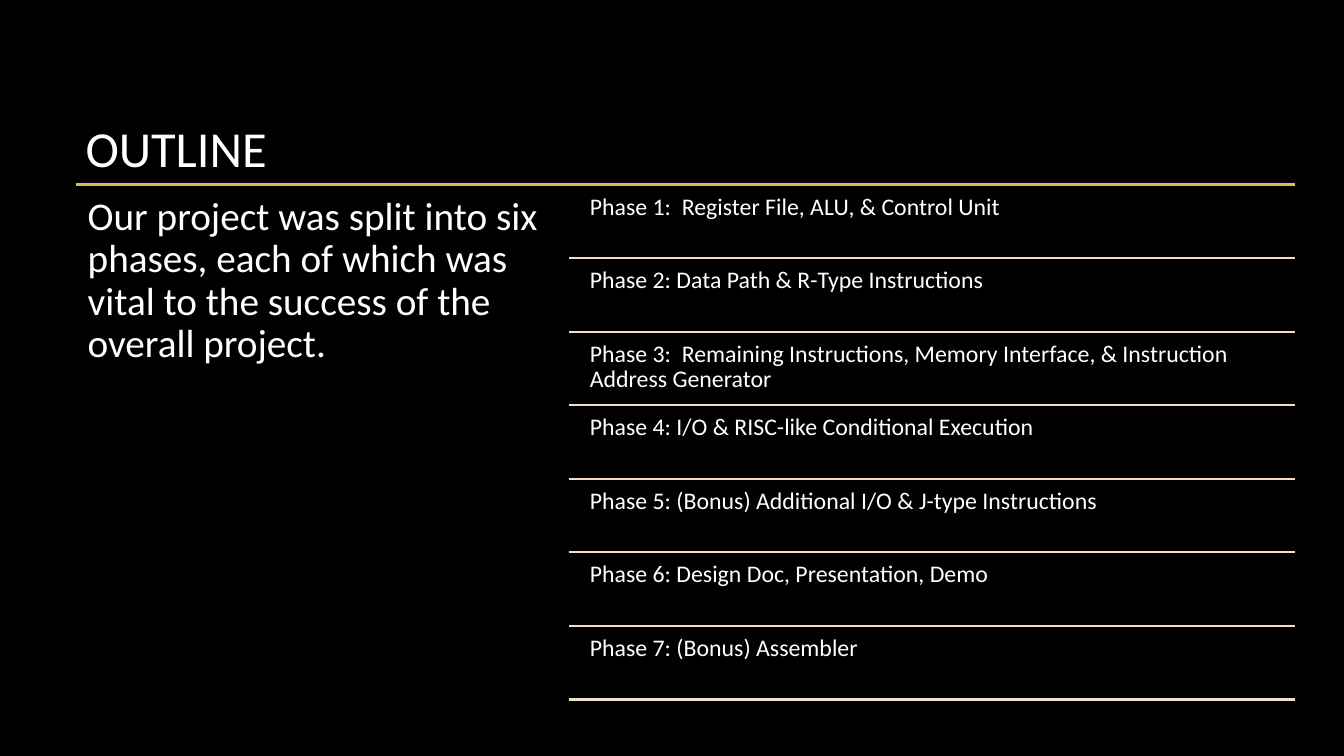
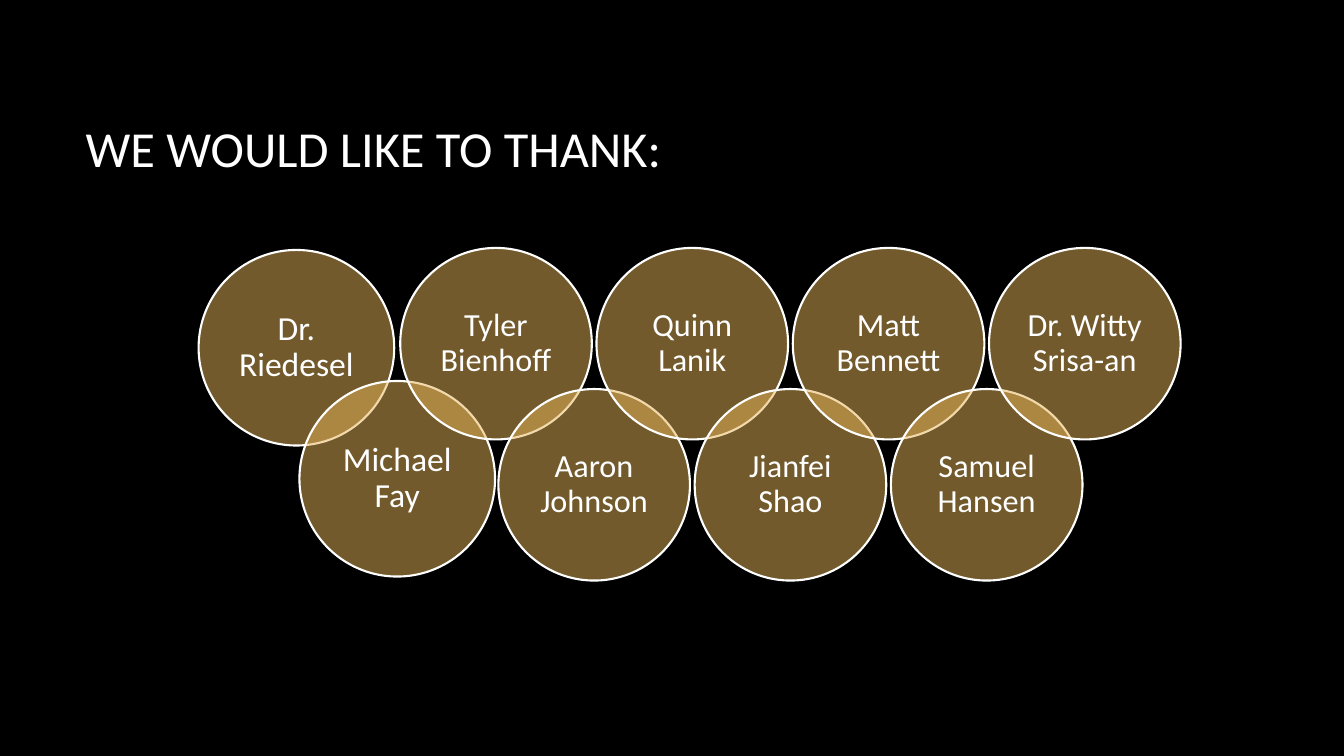
from lxml import etree
from pptx import Presentation
from pptx.dml.color import RGBColor
from pptx.enum.shapes import MSO_CONNECTOR as Connector, MSO_SHAPE as Shape
from pptx.enum.text import MSO_ANCHOR as Anchor, PP_ALIGN as Align
from pptx.oxml.ns import qn
from pptx.util import Inches, Pt

# Content
OUTLINE_TITLE = "OUTLINE"
SUMMARY = ("Our project was split into six phases, each of which was vital "
           "to the success of the overall project.")
PHASES = [
    "Phase 1:  Register File, ALU, & Control Unit",
    "Phase 2: Data Path & R-Type Instructions",
    "Phase 3:  Remaining Instructions, Memory Interface, & Instruction Address Generator",
    "Phase 4: I/O & RISC-like Conditional Execution",
    "Phase 5: (Bonus) Additional I/O & J-type Instructions",
    "Phase 6: Design Doc, Presentation, Demo",
    "Phase 7: (Bonus) Assembler",
]
THANKS_TITLE = "WE WOULD LIKE TO THANK:"
ADVISERS = ["Dr. Riedesel", "Michael Fay"]
HELPERS = ["Tyler Bienhoff", "Aaron Johnson", "Quinn Lanik", "Jianfei Shao",
           "Matt Bennett", "Samuel Hansen", "Dr. Witty Srisa-an"]

# Shared style
FONT = "Calibri"
BLACK, WHITE, GOLD, CREAM = "000000", "FFFFFF", "E5B458", "F2DEC4"
LINE_WIDTH = Pt(1.5)
LEFT, RIGHT = 0.75, 12.84


def color(value):
    return RGBColor.from_string(value)


def write(shape, text, size, inset=0.1, anchor=Anchor.TOP, align=Align.LEFT, spacing=0.9):
    frame = shape.text_frame
    frame.word_wrap = True
    frame.vertical_anchor = anchor
    frame.margin_left = frame.margin_right = Inches(inset)
    frame.margin_top = frame.margin_bottom = Inches(inset)
    para = frame.paragraphs[0]
    para.alignment = align
    para.line_spacing = spacing
    span = para.add_run()
    span.text = text
    span.font.name = FONT
    span.font.size = Pt(size)
    span.font.color.rgb = color(WHITE)


def add_text(page, text, left, top, width, height, size, **style):
    box = page.shapes.add_textbox(Inches(left), Inches(top), Inches(width), Inches(height))
    write(box, text, size, **style)


def add_rule(page, left, y, line_color):
    rule = page.shapes.add_connector(
        Connector.STRAIGHT, Inches(left), Inches(y), Inches(RIGHT), Inches(y))
    rule.line.color.rgb = color(line_color)
    rule.line.width = LINE_WIDTH
    etree.SubElement(rule._element.spPr, qn("a:effectLst"))


def add_circle(page, name, left, top, diameter, size):
    circle = page.shapes.add_shape(
        Shape.OVAL, Inches(left), Inches(top), Inches(diameter), Inches(diameter))
    circle.shadow.inherit = False
    circle.fill.solid()
    circle.fill.fore_color.rgb = color(GOLD)
    solid = circle._element.spPr.find(qn("a:solidFill"))
    etree.SubElement(solid[0], qn("a:alpha"), val="50000")
    circle.line.color.rgb = color(WHITE)
    circle.line.width = LINE_WIDTH
    write(circle, name, size, anchor=Anchor.MIDDLE, align=Align.CENTER)


def add_circle_chain(page, names, first_left, last_left, tops, diameter, size):
    """Evenly spaced circles that alternate between an upper and a lower row."""
    step = (last_left - first_left) / (len(names) - 1)
    for index, name in enumerate(names):
        add_circle(page, name, first_left + index * step, tops[index % 2], diameter, size)


def add_page(deck, title):
    page = deck.slides.add_slide(deck.slide_layouts[6])
    add_text(page, title, LEFT, 0.67, 11.08, 1.59, 36, anchor=Anchor.MIDDLE, spacing=1.0)
    return page


def build_outline(deck):
    page = add_page(deck, OUTLINE_TITLE)
    top, row_height, gap = 1.83, 0.7, 0.03
    add_rule(page, LEFT, top, GOLD)
    add_text(page, SUMMARY, LEFT, top, 4.89, 3.55, 28, inset=0.12)
    # One text row and one rule per phase
    for index, phase in enumerate(PHASES):
        row_top = top + gap + index * (row_height + gap)
        add_text(page, phase, 5.78, row_top, 7.07, row_height, 17, inset=0.07)
        add_rule(page, 5.64, row_top + row_height, CREAM)


def build_thanks(deck):
    page = add_page(deck, THANKS_TITLE)
    add_circle_chain(page, ADVISERS, 1.97, 2.97, (2.48, 3.78), 1.94, 24)
    add_circle_chain(page, HELPERS, 3.97, 9.81, (2.46, 3.86), 1.9, 23)


def main():
    deck = Presentation()
    deck.slide_width, deck.slide_height = Inches(13.33), Inches(7.5)
    backdrop = deck.slide_master.background.fill
    backdrop.solid()
    backdrop.fore_color.rgb = color(BLACK)
    build_outline(deck)
    build_thanks(deck)
    deck.save("out.pptx")


if __name__ == "__main__":
    main()
